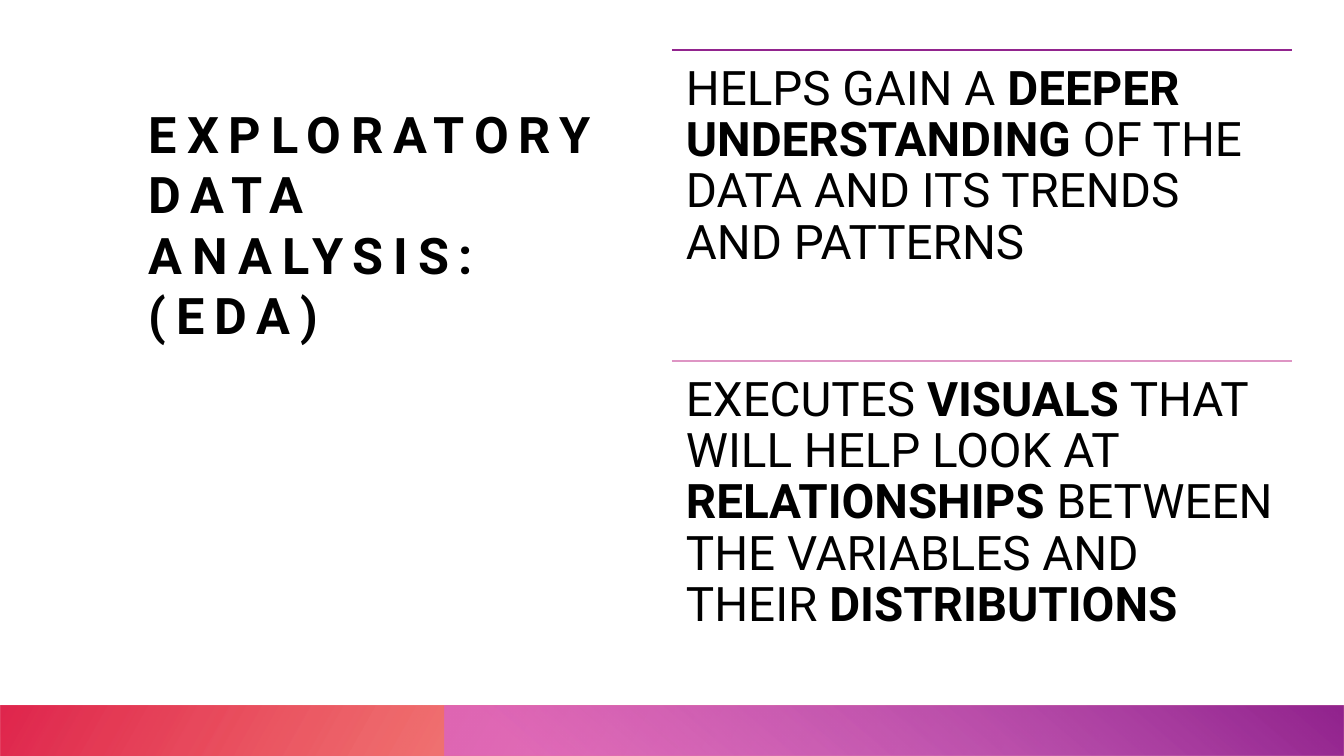
from lxml.etree import SubElement
from pptx import Presentation
from pptx.dml.color import RGBColor
from pptx.enum.shapes import MSO_CONNECTOR as CONN, MSO_SHAPE as SHAPE
from pptx.oxml.ns import qn
from pptx.util import Pt

PX = 914400 / 100.8
WIDTH, HEIGHT = 1344, 756

TITLE = ["EXPLORATORY DATA ANALYSIS:", "(EDA)"]
TITLE_BOX = (149, 103, 506, 503)
TITLE_FORMAT = {"size": Pt(36), "name": "Roboto", "bold": True}
TITLE_TRACKING = 700

POINTS = [
    ("92248E", [("HELPS GAIN A ", False), ("DEEPER UNDERSTANDING", True),
                (" OF THE DATA AND ITS TRENDS AND PATTERNS", False)]),
    ("DE95C4", [("EXECUTES ", False), ("VISUALS", True),
                (" THAT WILL HELP LOOK AT ", False), ("RELATIONSHIPS", True),
                (" BETWEEN THE VARIABLES AND THEIR ", False),
                ("DISTRIBUTIONS", True)]),
]
POINT_BOX = (672, 50, 620, 311)
POINT_FORMAT = {"size": Pt(34), "name": "Roboto"}
POINT_INSET = 14

BAR_TOP = 706
BARS = [
    {"left": 0, "rotation": 180, "angle": 150,
     "stops": [(14, "FE4A00", 28), (100, "DA002F", 85)]},
    {"left": 445, "rotation": 0, "angle": 230,
     "stops": [(9, "D861D4", 68), (99, "92248E", 100)]},
]


def px(n):
    return round(n * PX)


def rgb(value):
    return RGBColor.from_string(value)


def add_bar(s, bar):
    left = bar["left"]
    sp = s.shapes.add_shape(SHAPE.RECTANGLE, px(left), px(BAR_TOP),
                            px(WIDTH - left), px(HEIGHT - BAR_TOP))
    sp.shadow.inherit = False
    sp.line.fill.background()
    sp.rotation = bar["rotation"]
    sp._element.spPr.find(qn("a:xfrm")).set("flipH", "1")
    sp.fill.gradient()
    sp.fill.gradient_angle = 360 - bar["angle"]
    for stop, (position, color, opacity) in zip(sp.fill.gradient_stops, bar["stops"]):
        stop.position = position / 100
        stop.color.rgb = rgb(color)
    for clr, (_, _, opacity) in zip(sp._element.spPr.iter(qn("a:srgbClr")), bar["stops"]):
        SubElement(clr, qn("a:alpha")).set("val", str(opacity * 1000))


def add_rule(s, x, y, width, color):
    line = s.shapes.add_connector(CONN.STRAIGHT, px(x), px(y), px(x + width), px(y))
    line.line.color.rgb = rgb(color)
    line.line.width = Pt(1)
    SubElement(line._element.spPr, qn("a:effectLst"))


def add_box(s, box, inset):
    tf = s.shapes.add_textbox(*map(px, box)).text_frame
    tf.word_wrap = True
    for side in ("left", "top", "right", "bottom"):
        setattr(tf, f"margin_{side}", px(inset))
    return tf.paragraphs[0]


def add_run(p, text, fmt):
    r = p.add_run()
    r.text = text
    r.font.color.rgb = rgb("000000")
    for key, value in fmt.items():
        setattr(r.font, key, value)
    return r


def main():
    prs = Presentation()
    prs.slide_width, prs.slide_height = px(WIDTH), px(HEIGHT)
    s = prs.slides.add_slide(prs.slide_layouts[6])

    p = add_box(s, TITLE_BOX, 0)
    for i, text in enumerate(TITLE):
        if i:
            p.add_line_break()
        r = add_run(p, text, TITLE_FORMAT)
        r._r.get_or_add_rPr().set("spc", str(TITLE_TRACKING))

    for bar in BARS:
        add_bar(s, bar)

    left, top, width, height = POINT_BOX
    for i, (color, runs) in enumerate(POINTS):
        y = top + i * height
        add_rule(s, left, y, width, color)
        p = add_box(s, (left, y, width, height), POINT_INSET)
        p.line_spacing = 0.9
        for text, bold in runs:
            add_run(p, text, {**POINT_FORMAT, "bold": bold})

    prs.save("out.pptx")


if __name__ == "__main__":
    main()
